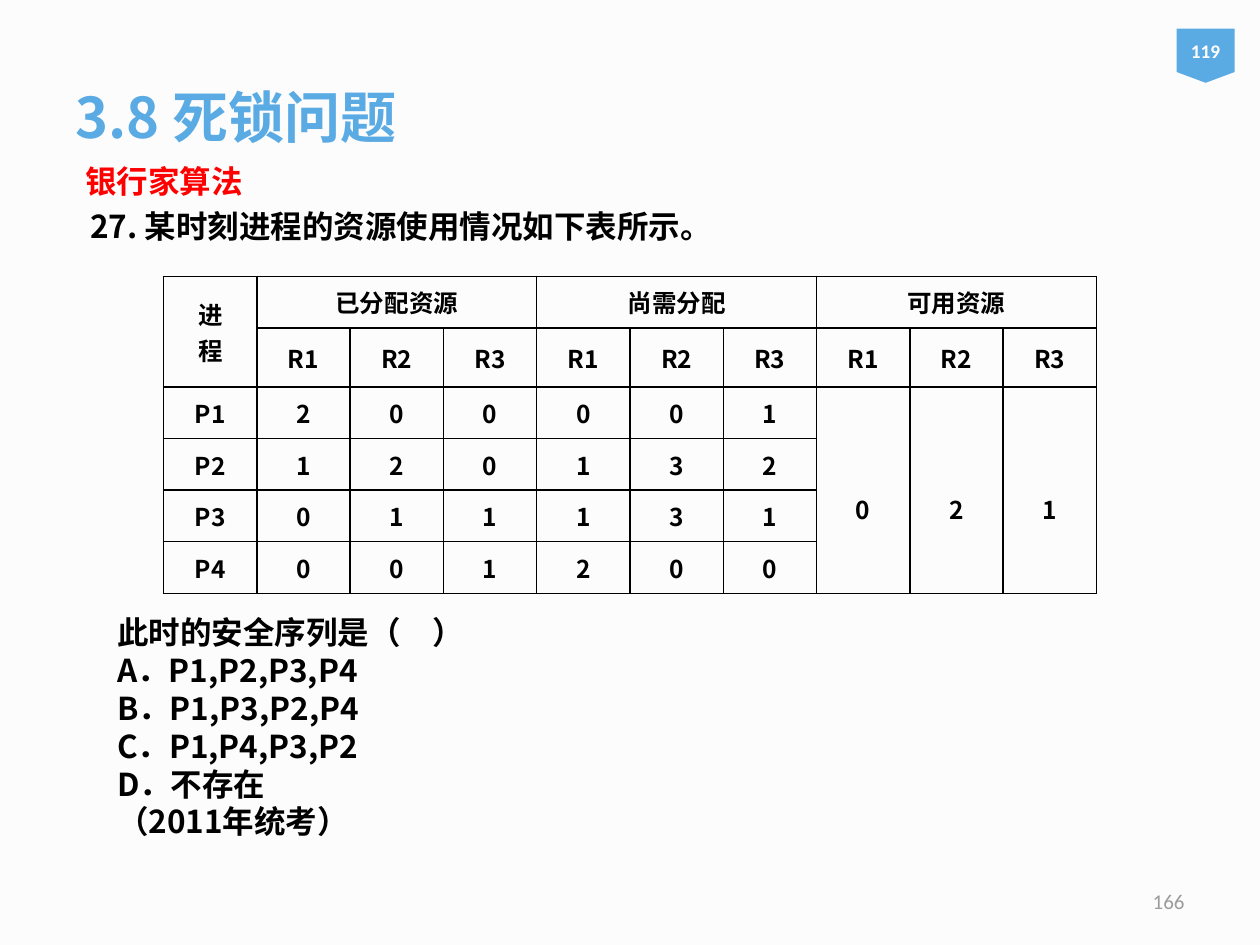
from dataclasses import dataclass

from lxml.etree import SubElement
from pptx import Presentation
from pptx.dml.color import RGBColor
from pptx.enum.shapes import MSO_SHAPE as Shape
from pptx.enum.text import MSO_ANCHOR as Anchor, MSO_AUTO_SIZE as AutoSize, PP_ALIGN as Align
from pptx.oxml.ns import qn
from pptx.util import Cm, Pt


@dataclass(frozen=True)
class Theme:
    paper: str = "FCFCFC"
    accent: str = "5AAAE4"
    ink: str = "000000"
    alert: str = "FF0000"
    muted: str = "9C9C9C"
    white: str = "FFFFFF"
    cjk: str = "Noto Sans CJK SC"
    latin: str = "Calibri"
    title: int = 32
    body: int = 18
    cell: int = 14
    footer: int = 12
    badge: int = 11


theme = Theme()


def write(frame, lines, size, color, font=theme.cjk, align=Align.LEFT, bold=True, spacing=None):
    """Fill a text frame with one styled paragraph per line."""
    for index, line in enumerate(lines):
        para = frame.add_paragraph() if index else frame.paragraphs[0]
        para.alignment = align
        if spacing:
            para.line_spacing = Pt(spacing)
        span = para.add_run()
        span.text = line
        span.font.name, span.font.size, span.font.bold = font, Pt(size), bold
        span.font.color.rgb = RGBColor.from_string(color)
        SubElement(span.font._element, qn("a:ea"), typeface=font)


def add_box(left, top, width, height, anchor=Anchor.TOP):
    """Add a wrapping text box, in centimetres, and return its frame."""
    box = page.shapes.add_textbox(Cm(left), Cm(top), Cm(width), Cm(height))
    box.text_frame.word_wrap = True
    box.text_frame.vertical_anchor = anchor
    return box.text_frame


deck = Presentation()
deck.slide_width, deck.slide_height = Cm(25.4), Cm(19.05)
page = deck.slides.add_slide(deck.slide_layouts[5])
page.background.fill.solid()
page.background.fill.fore_color.rgb = RGBColor.from_string(theme.paper)

# Title
title = page.shapes.title
title.left, title.top, title.width, title.height = Cm(1.27), Cm(0.76), Cm(22.86), Cm(3.18)
title.text_frame.auto_size = AutoSize.NONE
title.text_frame.vertical_anchor = Anchor.MIDDLE
write(title.text_frame, ["3.8 死锁问题"], theme.title, theme.accent)

# Number badge
badge = page.shapes.add_shape(
    Shape.FLOWCHART_OFFPAGE_CONNECTOR, Cm(23.72), Cm(0.58), Cm(1.17), Cm(1.09))
badge.shadow.inherit = False
badge.fill.solid()
badge.fill.fore_color.rgb = RGBColor.from_string(theme.accent)
badge.line.fill.background()
label = badge.text_frame
label.margin_left = label.margin_right = label.margin_top = label.margin_bottom = 0
label.vertical_anchor = Anchor.MIDDLE
write(label, ["119"], theme.badge, theme.white, theme.latin, Align.CENTER)

# Topic and question
write(add_box(1.47, 3.15, 12.7, 1.17), ["银行家算法"], theme.body, theme.alert)
write(add_box(1.57, 4.04, 22.25, 1.17), ["27. 某时刻进程的资源使用情况如下表所示。"],
      theme.body, theme.ink)

# Resource table: a line break inside an entry starts a new paragraph
rows = [
    ["进\n程", "已分配资源", "", "", "尚需分配", "", "", "可用资源", "", ""],
    [""] + ["R1", "R2", "R3"] * 3,
    ["P1", "2", "0", "0", "0", "0", "1", "0", "2", "1"],
    ["P2", "1", "2", "0", "1", "3", "2", "", "", ""],
    ["P3", "0", "1", "1", "1", "3", "1", "", "", ""],
    ["P4", "0", "0", "1", "2", "0", "0", "", "", ""],
]
row_heights = [1.04, 1.19, 1.04, 1.04, 1.04, 1.04]
column_width = 1.88
table = page.shapes.add_table(
    len(rows), len(rows[0]), Cm(3.3), Cm(5.57),
    Cm(column_width * len(rows[0])), Cm(sum(row_heights))).table
table.first_row = table.horz_banding = False
for column in table.columns:
    column.width = Cm(column_width)
for row, height in zip(table.rows, row_heights):
    row.height = Cm(height)

table.cell(0, 0).merge(table.cell(1, 0))
for first in (1, 4, 7):
    table.cell(0, first).merge(table.cell(0, first + 2))
for column in (7, 8, 9):
    table.cell(2, column).merge(table.cell(5, column))

for r, entries in enumerate(rows):
    for c, entry in enumerate(entries):
        cell = table.cell(r, c)
        cell.margin_left = cell.margin_right = cell.margin_top = cell.margin_bottom = 0
        cell.vertical_anchor = Anchor.MIDDLE
        for side in ("a:lnL", "a:lnR", "a:lnT", "a:lnB"):
            border = SubElement(cell._tc.get_or_add_tcPr(), qn(side), w=str(Pt(1)))
            SubElement(SubElement(border, qn("a:solidFill")), qn("a:srgbClr"), val=theme.ink)
        cell.fill.background()
        if entry:
            write(cell.text_frame, entry.split("\n"), theme.cell, theme.ink, align=Align.CENTER)

# The available amounts sit a little below the middle
for column in (7, 8, 9):
    table.cell(2, column).margin_top = Cm(0.76)

# Answer options
options = [
    "此时的安全序列是（　）",
    "A．P1,P2,P3,P4",
    "B．P1,P3,P2,P4",
    "C．P1,P4,P3,P2",
    "D．不存在",
    "（2011年统考）",
]
write(add_box(2.11, 12.24, 21.9, 4.88), options, theme.body, theme.ink,
      align=Align.JUSTIFY, spacing=21.6)

# Page number
write(add_box(18.21, 17.65, 5.92, 1.02, Anchor.MIDDLE), ["166"], theme.footer, theme.muted,
      theme.latin, Align.RIGHT, bold=False)

deck.save("out.pptx")
